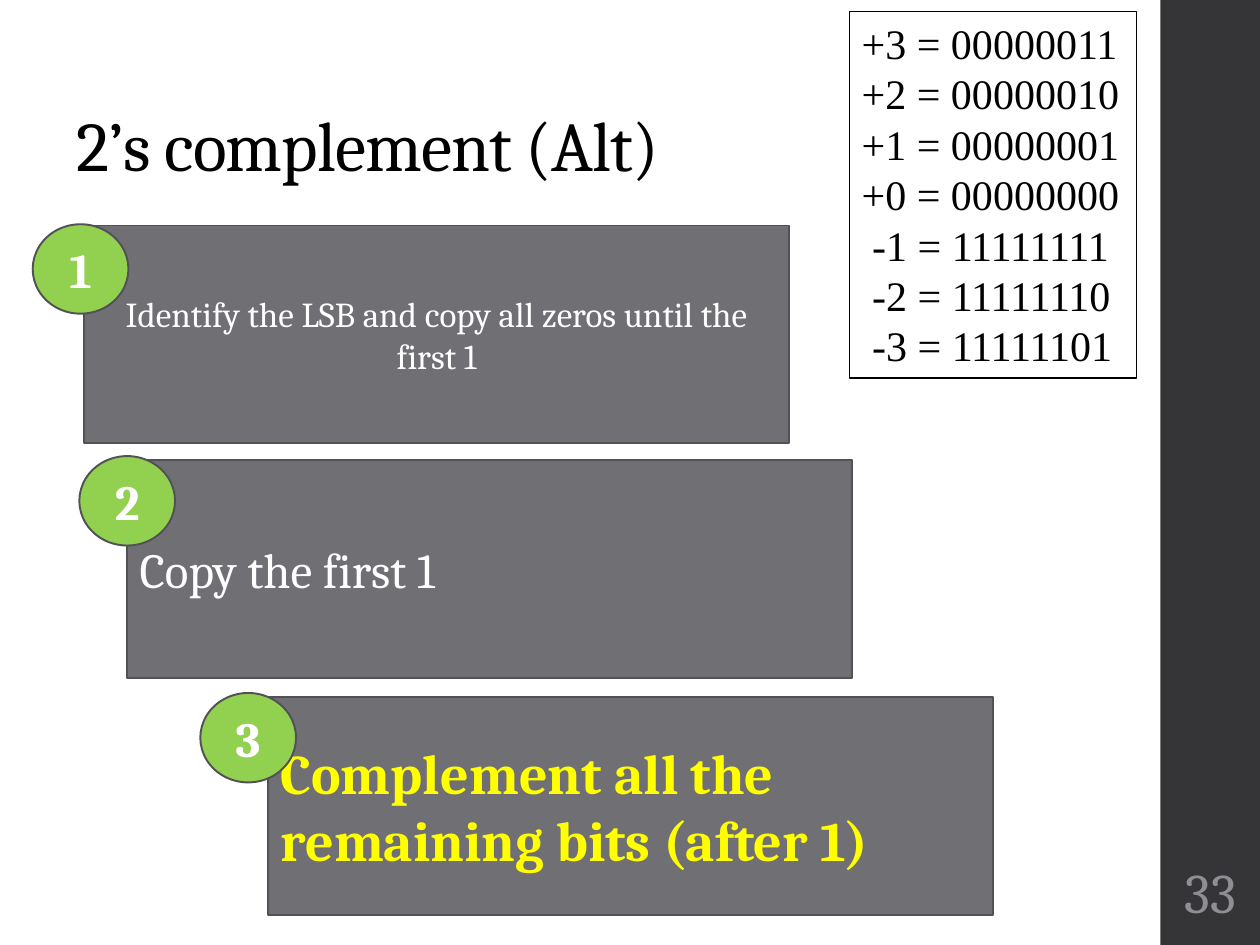
from dataclasses import dataclass

from pptx import Presentation, util as u
from pptx.dml.color import RGBColor
from pptx.enum import shapes as sh, text as tx

COLS, ROWS = 100, 75  # grid cells across and down the slide
CELL = u.Inches(0.1)
FONT = "Cambria"
HEX = {
    "bar": "353537", "box": "6F6F74", "edge": "525256", "badge": "92D050",
    "black": "000000", "white": "FFFFFF", "yellow": "FFFF00", "grey": "8E8E94",
}
MID, LEFT = tx.PP_ALIGN.CENTER, tx.PP_ALIGN.LEFT


@dataclass
class Area:
    col: float
    row: float
    wide: float
    high: float

    def size(self) -> list[int]:
        return [round(n * CELL) for n in (self.col, self.row, self.wide, self.high)]


@dataclass
class Style:
    size: int
    color: str = "white"
    bold: bool = False
    align: tx.PP_ALIGN = LEFT
    font: str = FONT


@dataclass
class Step:
    words: str
    box: Area
    badge: tuple[float, float]
    style: Style


def color(name: str) -> RGBColor:
    return RGBColor.from_string(HEX[name])


def write(shape, words: str, style: Style, anchor=tx.MSO_ANCHOR.MIDDLE) -> None:
    frame = shape.text_frame
    frame.text = words
    frame.word_wrap = True
    frame.auto_size = tx.MSO_AUTO_SIZE.NONE
    frame.vertical_anchor = anchor
    for para in frame.paragraphs:
        para.alignment = style.align
        for run in para.runs:
            font = run.font
            font.name, font.size, font.bold = style.font, u.Pt(style.size), style.bold
            font.color.rgb = color(style.color)


def draw(slide, kind, area: Area, fill: str = "", line: str = "", width: float = 1.1):
    shape = slide.shapes.add_shape(kind, *area.size())
    shape.shadow.inherit = False
    if fill:
        shape.fill.solid()
        shape.fill.fore_color.rgb = color(fill)
    else:
        shape.fill.background()
    if line:
        shape.line.color.rgb = color(line)
        shape.line.width = u.Pt(width)
    else:
        shape.line.fill.background()
    return shape


def add_step(slide, num: int, step: Step) -> None:
    box = draw(slide, sh.MSO_SHAPE.RECTANGLE, step.box, "box", "edge")
    write(box, step.words, step.style)
    badge = draw(slide, sh.MSO_SHAPE.OVAL, Area(*step.badge, 7.6, 7.1), "badge", "edge")
    write(badge, str(num), Style(28, bold=True, align=MID))


STEPS = [
    Step("Identify the LSB and copy all zeros until the first 1",
         Area(6.7, 17.9, 55.9, 17.3), (2.6, 17.8), Style(20, align=MID)),
    Step("Copy the first 1",
         Area(10.1, 36.5, 57.5, 17.3), (6.3, 36.2), Style(28)),
    Step("Complement all the remaining bits (after 1)",
         Area(21.3, 55.3, 57.5, 17.3), (15.9, 55), Style(32, "yellow", True)),
]
CODES = "\n".join([
    "+3 = 00000011", "+2 = 00000010", "+1 = 00000001", "+0 = 00000000",
    " -1 = 11111111", " -2 = 11111110", " -3 = 11111101",
])


def main() -> None:
    deck = Presentation()
    deck.slide_width, deck.slide_height = COLS * CELL, ROWS * CELL
    slide = deck.slides.add_slide(deck.slide_layouts[5])

    # Title
    title = slide.shapes.title
    title.left, title.top, title.width, title.height = Area(5.1, 4, 84.7, 11.3).size()
    write(title, "2’s complement (Alt)", Style(40, "black"), tx.MSO_ANCHOR.BOTTOM)
    para = title.text_frame.paragraphs[0]
    para.line_spacing = 0.9
    para.runs[0].font._element.set("spc", "-50")

    # Side bar
    draw(slide, sh.MSO_SHAPE.RECTANGLE, Area(92.1, 0, COLS - 92.1, ROWS), "bar")

    # Table of codes
    codes = draw(slide, sh.MSO_SHAPE.RECTANGLE, Area(67.4, 0.9, 22.8, 29.1),
                 line="black", width=0.75)
    write(codes, CODES, Style(24, "black", font="Times New Roman"), tx.MSO_ANCHOR.TOP)

    # Numbered steps
    for num, step in enumerate(STEPS, 1):
        add_step(slide, num, step)

    # Page number
    page = slide.shapes.add_textbox(*Area(92.3, 67.5, 7.5, 6.5).size())
    write(page, "33", Style(32, "grey", align=MID))
    page.text_frame.margin_left = page.text_frame.margin_right = u.Inches(0.03)

    deck.save("out.pptx")


if __name__ == "__main__":
    main()
